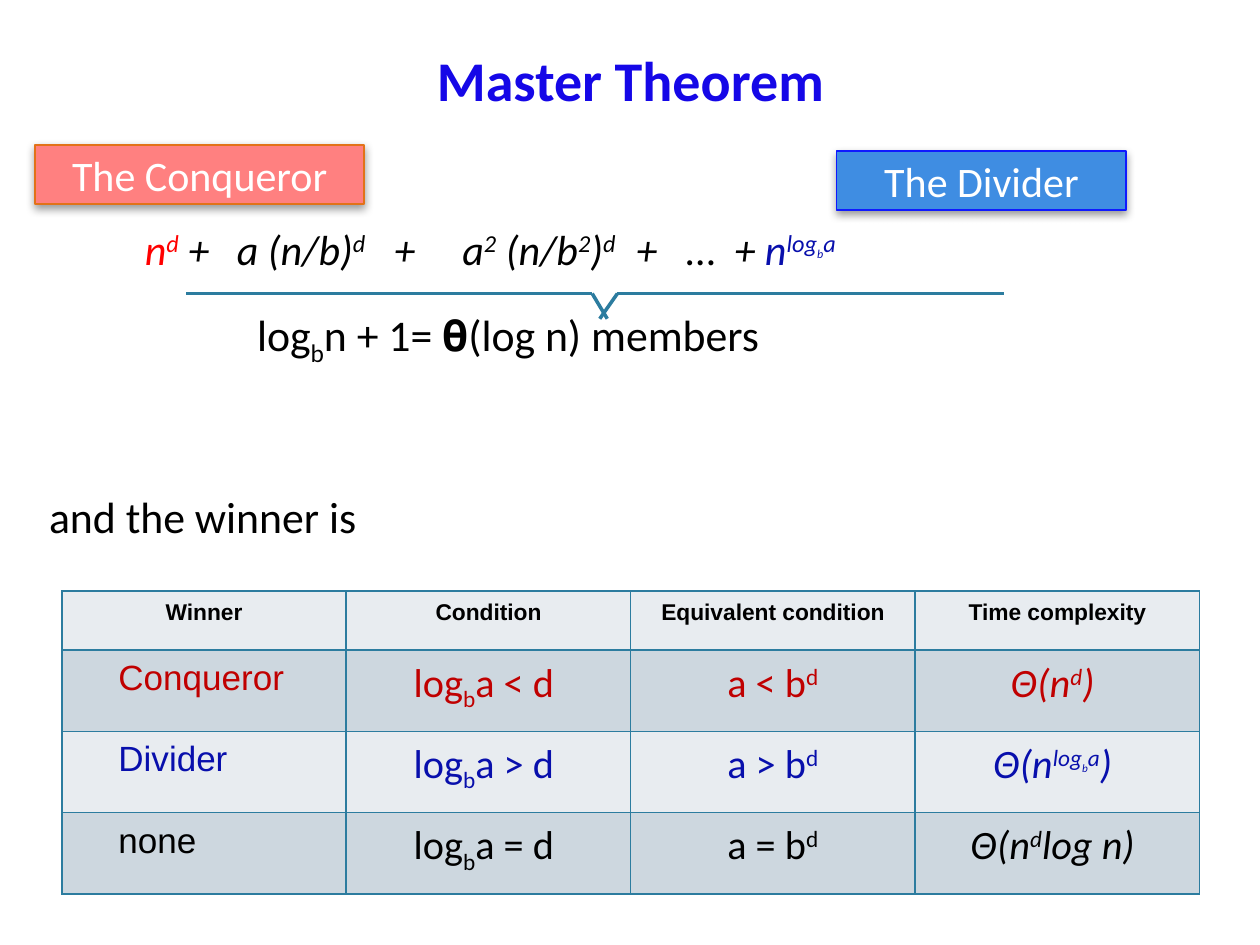
"""Build the Master Theorem slide on a grid of 100 columns by 75 rows."""
from typing import NamedTuple, Optional, Sequence

from lxml.etree import SubElement
from pptx import Presentation
from pptx.dml.color import RGBColor
from pptx.enum.shapes import MSO_CONNECTOR, MSO_SHAPE
from pptx.enum.text import MSO_ANCHOR, PP_ALIGN
from pptx.oxml.ns import qn
from pptx.util import Inches, Pt

COLS, ROWS = 100, 75
WIDTH, HEIGHT = Inches(10), Inches(7.5)
BLACK = RGBColor(0x00, 0x00, 0x00)
WHITE = RGBColor(0xFF, 0xFF, 0xFF)
TITLE_BLUE = RGBColor(0x15, 0x07, 0xE7)
RED = RGBColor(0xFF, 0x00, 0x00)
DARK_RED = RGBColor(0xC0, 0x00, 0x00)
NAVY = RGBColor(0x08, 0x0F, 0xAC)
TEAL = RGBColor(0x2C, 0x7C, 0x9F)
PINK = RGBColor(0xFF, 0x80, 0x80)
ORANGE = RGBColor(0xE2, 0x72, 0x18)
SKY = RGBColor(0x3F, 0x8D, 0xE2)
BRIGHT_BLUE = RGBColor(0x0F, 0x19, 0xFF)
BANDS = (RGBColor(0xE8, 0xEC, 0xF0), RGBColor(0xCD, 0xD7, 0xDF))
SUP, SUB = 30, -25


class Bit(NamedTuple):
    text: str
    base: int = 0
    color: Optional[RGBColor] = None
    size: Optional[float] = None


class Style(NamedTuple):
    size: float
    color: RGBColor = BLACK
    font: str = "Calibri"
    bold: bool = False
    italic: bool = False


class Line(NamedTuple):
    col: float
    row: float
    cols: float
    rows: float
    bits: Sequence[Bit]
    style: Style
    align: PP_ALIGN = PP_ALIGN.LEFT
    tabs: Sequence[float] = ()


class Label(NamedTuple):
    col: float
    row: float
    cols: float
    text: str
    fill: RGBColor
    edge: RGBColor


class Outcome(NamedTuple):
    winner: str
    sign: str
    time: Sequence[Bit]
    color: RGBColor


def gx(cols: float) -> int:
    """Return the length of a number of grid columns."""
    return round(WIDTH * cols / COLS)


def gy(rows: float) -> int:
    """Return the length of a number of grid rows."""
    return round(HEIGHT * rows / ROWS)


def power(root: str, size: float, color: Optional[RGBColor] = None) -> list[Bit]:
    """Return root raised to log b of a."""
    return [Bit(root, 0, color), Bit("log", SUP, color),
            Bit("b", SUP, color, size), Bit("a", SUP, color)]


def write(p, bits: Sequence[Bit], style: Style, align: PP_ALIGN) -> None:
    """Fill a paragraph with formatted runs."""
    p.alignment = align
    for bit in bits:
        r = p.add_run()
        r.text = bit.text
        f = r.font
        f.name, f.bold, f.italic = style.font, style.bold, style.italic
        f.size = Pt(bit.size or style.size)
        f.color.rgb = bit.color or style.color
        if bit.base:
            f._element.set("baseline", str(bit.base * 1000))


def add_line(s, line: Line) -> None:
    """Add one line of text, with tab stops where it has them."""
    sp = s.shapes.add_textbox(gx(line.col), gy(line.row), gx(line.cols), gy(line.rows))
    tf = sp.text_frame
    tf.word_wrap = True
    tf.margin_left = tf.margin_right = tf.margin_top = tf.margin_bottom = 0
    tf.vertical_anchor = MSO_ANCHOR.MIDDLE if line.align == PP_ALIGN.CENTER else MSO_ANCHOR.TOP
    p = tf.paragraphs[0]
    write(p, line.bits, line.style, line.align)
    if line.tabs:
        stops = SubElement(p._p.get_or_add_pPr(), qn("a:tabLst"))
        for tab in line.tabs:
            SubElement(stops, qn("a:tab"), pos=str(gx(tab)), algn="l")


def add_label(s, label: Label) -> None:
    """Add a filled label with a soft shadow below it."""
    sp = s.shapes.add_shape(MSO_SHAPE.RECTANGLE, gx(label.col), gy(label.row),
                            gx(label.cols), gy(4.7))
    sp.fill.solid()
    sp.fill.fore_color.rgb = label.fill
    sp.line.color.rgb = label.edge
    sp.line.width = Pt(1)
    sp.shadow.inherit = False
    effects = sp._element.spPr.find(qn("a:effectLst"))
    shadow = SubElement(effects, qn("a:outerShdw"), blurRad=str(Pt(5)), dist=str(Pt(2)),
                        dir="5400000", rotWithShape="0")
    color = SubElement(shadow, qn("a:srgbClr"), val=str(BLACK))
    SubElement(color, qn("a:alpha"), val="40000")
    tf = sp.text_frame
    tf.vertical_anchor = MSO_ANCHOR.MIDDLE
    write(tf.paragraphs[0], [Bit(label.text)], Style(24, WHITE), PP_ALIGN.CENTER)


def add_stroke(s, x1: float, y1: float, x2: float, y2: float) -> None:
    """Add one straight stroke of the brace."""
    c = s.shapes.add_connector(MSO_CONNECTOR.STRAIGHT, gx(x1), gy(y1), gx(x2), gy(y2))
    c.line.color.rgb = TEAL
    c.line.width = Pt(2)
    SubElement(c._element.spPr, qn("a:effectLst"))


def fill_cell(cell, bits: Sequence[Bit], style: Style, align: PP_ALIGN, band: RGBColor) -> None:
    """Write, border and fill one table cell."""
    cell.margin_left = cell.margin_right = cell.margin_top = gx(0.7)
    cell.margin_bottom = gy(1.4)
    p = cell.text_frame.paragraphs[0]
    write(p, bits, style, align)
    p.space_before, p.space_after = Pt(6), Pt(12)
    if align == PP_ALIGN.LEFT:
        p._p.get_or_add_pPr().set("marL", str(gx(3.8)))
    tc_pr = cell._tc.get_or_add_tcPr()
    for side in "LRTB":
        ln = SubElement(tc_pr, qn(f"a:ln{side}"), w=str(Pt(1)))
        SubElement(SubElement(ln, qn("a:solidFill")), qn("a:srgbClr"), val=str(TEAL))
    cell.fill.solid()
    cell.fill.fore_color.rgb = band


def add_outcomes(s, heads: Sequence[str], outcomes: Sequence[Outcome]) -> None:
    """Add the table of winners and their conditions."""
    table = s.shapes.add_table(len(outcomes) + 1, len(heads), gx(4.9), gy(46.9),
                               gx(90.3), gy(22.4)).table
    table.first_row = table.horz_banding = False
    for i, row in enumerate(table.rows):
        row.height = gy(5.9 if i else 4.7)
    for j, head in enumerate(heads):
        fill_cell(table.cell(0, j), [Bit(head)], Style(13, font="Arial", bold=True),
                  PP_ALIGN.CENTER, BANDS[0])
    for i, o in enumerate(outcomes, 1):
        math = Style(23, o.color)
        cells = (
            ([Bit(o.winner)], Style(20, o.color, "Arial"), PP_ALIGN.LEFT),
            ([Bit("log"), Bit("b", SUB), Bit(f"a {o.sign} d ")], math, PP_ALIGN.CENTER),
            ([Bit(f"a {o.sign} b"), Bit("d", SUP)], math, PP_ALIGN.CENTER),
            (o.time, math._replace(italic=True), PP_ALIGN.CENTER),
        )
        for j, (bits, style, align) in enumerate(cells):
            fill_cell(table.cell(i, j), bits, style, align, BANDS[i % 2])


def main() -> None:
    """Build and save the slide."""
    prs = Presentation()
    prs.slide_width, prs.slide_height = WIDTH, HEIGHT
    s = prs.slides.add_slide(prs.slide_layouts[6])
    d, two = Bit("d", SUP), Bit("2", SUP)
    series = [Bit("n", 0, RED), Bit("d", SUP, RED), Bit(" +\ta (n/b)"), d, Bit("\t+\ta"), two,
              Bit(" (n/b"), two, Bit(")"), d, Bit("\t+\t...\t+ "), *power("n", 12, NAVY)]
    members = [Bit("log"), Bit("b", SUB), Bit("n + 1= 𝛉(log n) members")]
    for line in (
        Line(2.9, 1.2, 94.3, 10.1, [Bit("Master Theorem")],
             Style(32, TITLE_BLUE, bold=True), PP_ALIGN.CENTER),
        Line(11.5, 17.7, 70, 4.1, series, Style(24, italic=True),
             tabs=(7.3, 19.8, 25.2, 39, 42.9, 46.8)),
        Line(20.4, 24.4, 60, 4.3, members, Style(25)),
        Line(3.9, 38.9, 50, 4.3, [Bit("and the winner is")], Style(25)),
    ):
        add_line(s, line)
    add_outcomes(s, ("Winner", "Condition", "Equivalent condition", "Time complexity"), (
        Outcome("Conqueror", "<", [Bit("Θ(n"), d, Bit(") ")], DARK_RED),
        Outcome("Divider", ">", [*power("Θ(n", 11), Bit(") ")], NAVY),
        Outcome("none", "=", [Bit("Θ(n"), d, Bit("log n) ")], BLACK),
    ))
    add_label(s, Label(2.8, 11.5, 26.1, "The Conqueror", PINK, ORANGE))
    add_label(s, Label(66.4, 12, 23, "The Divider", SKY, BRIGHT_BLUE))
    for ends in ((14.8, 23.3, 47, 23.3), (49, 23.3, 79.7, 23.3),
                 (48.2, 25.3, 47, 23.3), (47.6, 25.3, 49, 23.3)):
        add_stroke(s, *ends)
    prs.save("out.pptx")


if __name__ == "__main__":
    main()
